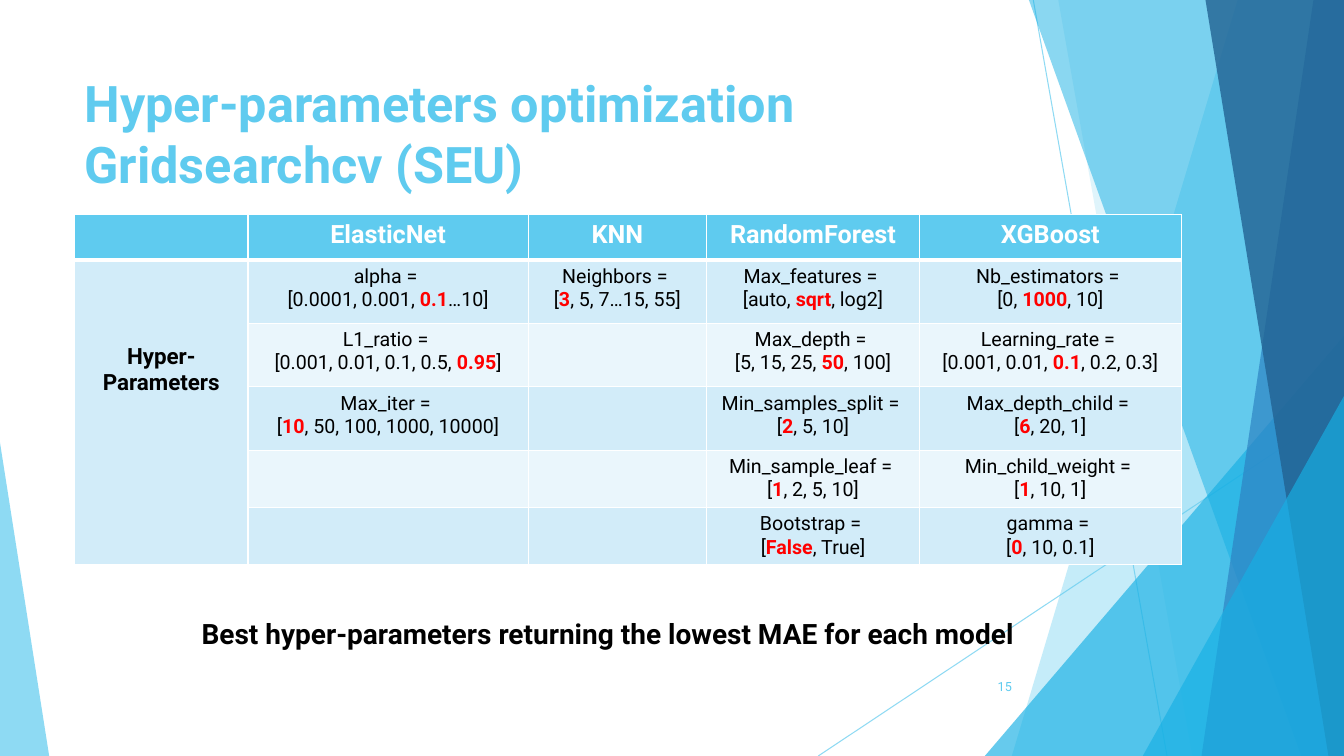
from lxml import etree
from pptx import Presentation
from pptx.dml.color import RGBColor
from pptx.enum.shapes import MSO_CONNECTOR, MSO_SHAPE
from pptx.enum.text import MSO_ANCHOR, PP_ALIGN
from pptx.oxml.ns import qn
from pptx.util import Cm, Pt

STRAIGHT = MSO_CONNECTOR.STRAIGHT
TRIANGLE = MSO_SHAPE.ISOSCELES_TRIANGLE
TOP, MIDDLE = MSO_ANCHOR.TOP, MSO_ANCHOR.MIDDLE
LEFT, CENTER, RIGHT = PP_ALIGN.LEFT, PP_ALIGN.CENTER, PP_ALIGN.RIGHT
WIDTH, HEIGHT = 33.87, 19.05
SKY, AZURE, BLUE, NAVY = "5FCBEF", "17B0E4", "2E83C3", "226292"
WHITE, BLACK, RED = "FFFFFF", "000000", "FF0000"
ODD_ROW, EVEN_ROW = "D2ECF9", "EAF6FC"


def paint(color_format, color, opacity=100):
    """Set a fill, line or font colour, with an opacity in percent."""
    color_format.rgb = RGBColor.from_string(color)
    if opacity < 100:
        for node in color_format._xFill.iter(qn("a:srgbClr")):
            etree.SubElement(node, qn("a:alpha"), val=str(opacity * 1000))


def write(frame, text, size, color, bold=False, align=LEFT):
    """Write lines as paragraphs; parts between asterisks are bold red."""
    for number, line in enumerate(text.split("\n")):
        para = frame.paragraphs[0] if number == 0 else frame.add_paragraph()
        para.alignment = align
        for index, part in enumerate(line.split("*")):
            if not part:
                continue
            best = index % 2 == 1
            span = para.add_run()
            span.text = part
            span.font.name = "Roboto"
            span.font.size = Pt(size)
            span.font.bold = bold or best
            paint(span.font.color, RED if best else color)


deck = Presentation()
deck.slide_width, deck.slide_height = Cm(WIDTH), Cm(HEIGHT)
page = deck.slides.add_slide(deck.slide_layouts[6])

# Thin background lines
for ends in [(26.04, 0, 29.41, HEIGHT), (WIDTH, 10.24, 20.62, HEIGHT)]:
    line = page.shapes.add_connector(STRAIGHT, *map(Cm, ends))
    line.line.width = Pt(0.75)
    line.line.fill.solid()
    paint(line.line.color, SKY)
    for node in line._element.spPr.iter(qn("a:srgbClr")):
        etree.SubElement(node, qn("a:alpha"), val="70000")
    etree.SubElement(line._element.spPr, qn("a:effectLst"))

# Background facets: a band is (top x, bottom x), running to the right edge;
# a triangle is (left, top, width, apex)
facets = [
    ((31.19, 25.5), SKY, 36),
    ((26.67, 30.05), SKY, 20),
    ((24.82, 8.46, 9.05, 1), AZURE, 66),
    ((25.93, 32.79), AZURE, 50),
    ((33.1, 30.28), BLUE, 70),
    ((30.38, 33.48), NAVY, 80),
    ((28.8, 9.98, 5.07, 1), AZURE, 66),
    ((0, 11.15, 1.24, 0), SKY, 70),
]
for geometry, color, opacity in facets:
    if len(geometry) == 2:
        top_x, bottom_x = geometry
        outline = page.shapes.build_freeform(Cm(top_x), Cm(0))
        corners = [(WIDTH, 0), (WIDTH, HEIGHT), (bottom_x, HEIGHT)]
        outline.add_line_segments([(Cm(x), Cm(y)) for x, y in corners])
        facet = outline.convert_to_shape()
    else:
        left, top, width, apex = geometry
        facet = page.shapes.add_shape(
            TRIANGLE, Cm(left), Cm(top), Cm(width), Cm(HEIGHT - top))
        facet.adjustments[0] = apex
    facet.shadow.inherit = False
    facet.line.fill.background()
    facet.fill.solid()
    paint(facet.fill.fore_color, color)
    for node in facet._element.spPr.iter(qn("a:srgbClr")):
        etree.SubElement(node, qn("a:alpha"), val=str(opacity * 1000))

# Title, page number and caption
texts = [
    ((1.88, 1.7, 25.3, 3.43), "Hyper-parameters optimization\nGridsearchcv (SEU)",
     36, SKY, True, LEFT, TOP),
    ((23.85, 16.79, 1.9, 1.02), "15", 9, SKY, False, RIGHT, MIDDLE),
    ((4.83, 15.42, 22, 1.12),
     "Best hyper-parameters returning the lowest MAE for each model",
     20, BLACK, True, LEFT, TOP),
]
for place, text, size, color, bold, align, anchor in texts:
    box = page.shapes.add_textbox(*map(Cm, place))
    box.text_frame.word_wrap = True
    box.text_frame.vertical_anchor = anchor
    write(box.text_frame, text, size, color, bold, align)

# Table of tested values, the best one between asterisks
rows = [
    ["", "ElasticNet", "KNN", "RandomForest", "XGBoost"],
    ["Hyper-Parameters", "alpha = \n[0.0001, 0.001, *0.1*…10]",
     "Neighbors = \n[*3*, 5, 7…15, 55]", "Max_features = \n[auto, *sqrt*, log2]",
     "Nb_estimators = \n[0, *1000*, 10]"],
    ["", "L1_ratio = \n[0.001, 0.01, 0.1, 0.5, *0.95*]", "",
     "Max_depth = \n[5, 15, 25, *50*, 100]",
     "Learning_rate = \n[0.001, 0.01, *0.1*, 0.2, 0.3]"],
    ["", "Max_iter = \n[*10*, 50, 100, 1000, 10000]", "",
     "Min_samples_split = \n[*2*, 5, 10]", "Max_depth_child = \n[*6*, 20, 1]"],
    ["", "", "", "Min_sample_leaf = \n[*1*, 2, 5, 10]",
     "Min_child_weight = \n[*1*, 10, 1]"],
    ["", "", "", "Bootstrap = \n[*False*, True]", "gamma = \n[*0*, 10, 0.1]"],
]
column_widths = [4.37, 7.06, 4.5, 5.36, 6.6]
row_heights = [1.14, 1.6, 1.6, 1.6, 1.42, 1.42]
table = page.shapes.add_table(
    len(rows), len(column_widths), Cm(1.88), Cm(5.41),
    Cm(sum(column_widths)), Cm(sum(row_heights))).table
for column, width in zip(table.columns, column_widths):
    column.width = Cm(width)
for row, height in zip(table.rows, row_heights):
    row.height = Cm(height)
table.cell(1, 0).merge(table.cell(5, 0))

for r, row in enumerate(rows):
    for c, text in enumerate(row):
        cell = table.cell(r, c)
        properties = cell._tc.get_or_add_tcPr()
        for side in ("lnL", "lnR", "lnT", "lnB"):
            thick = (r, side) in [(0, "lnB"), (1, "lnT")]
            border = etree.SubElement(
                properties, qn("a:" + side), w=str(Pt(3 if thick else 1)))
            solid = etree.SubElement(border, qn("a:solidFill"))
            etree.SubElement(solid, qn("a:srgbClr"), val=WHITE)
        cell.fill.solid()
        striped = ODD_ROW if r % 2 or c == 0 else EVEN_ROW
        paint(cell.fill.fore_color, SKY if r == 0 else striped)
        if r == 0:
            write(cell.text_frame, text, 18, WHITE, True, CENTER)
        elif c == 0:
            write(cell.text_frame, text, 16, BLACK, True, CENTER)
        else:
            write(cell.text_frame, text, 14, BLACK, False, CENTER)
table.cell(1, 0).margin_top = Cm(2.11)

deck.save("out.pptx")
